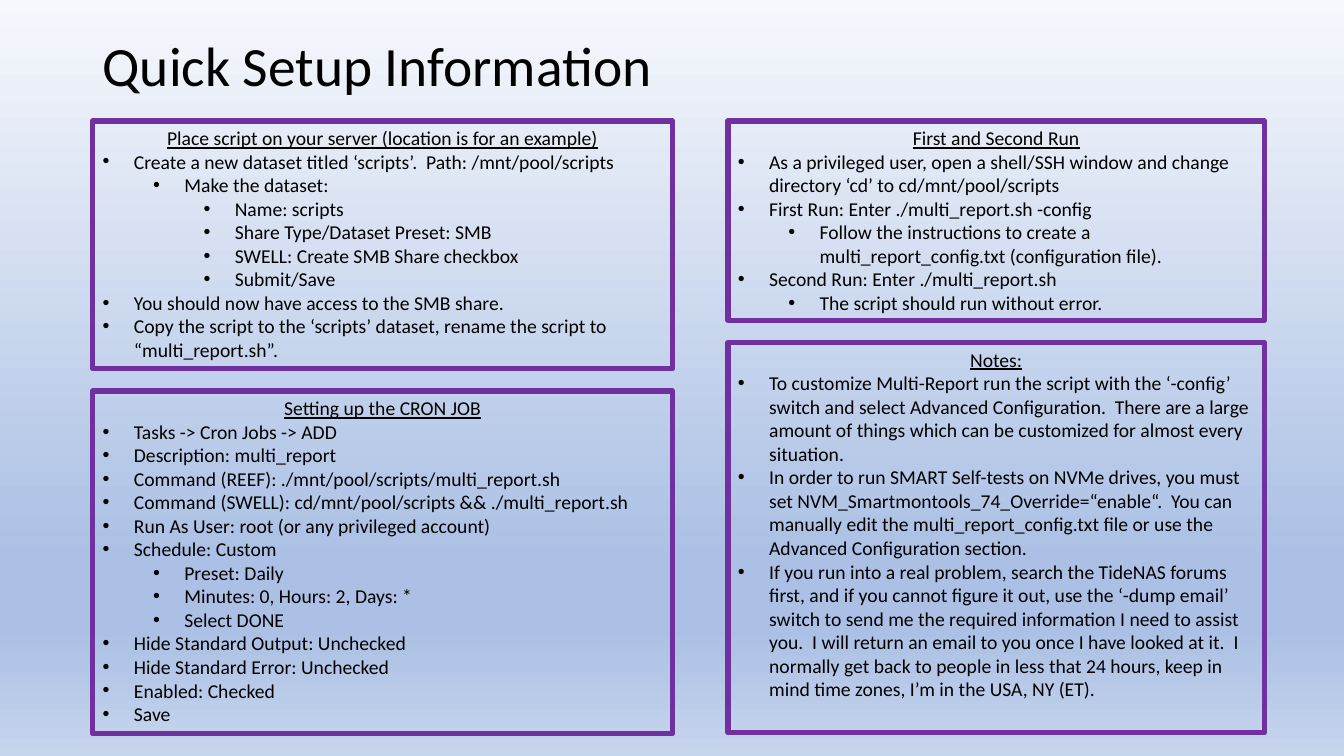
from lxml import etree
from pptx import Presentation
from pptx.dml.color import RGBColor
from pptx.enum.text import MSO_ANCHOR, MSO_AUTO_SIZE, PP_ALIGN
from pptx.oxml.ns import qn
from pptx.util import Inches, Pt

CENTER, LEFT = PP_ALIGN.CENTER, PP_ALIGN.LEFT
TOP, MIDDLE = MSO_ANCHOR.TOP, MSO_ANCHOR.MIDDLE
FIXED = MSO_AUTO_SIZE.NONE

COLORS = {"text": "000000", "border": "7030A0", "pale": "F6F8FC", "blue": "ABC0E4", "light": "C7D5ED"}
BACKGROUND_STOPS = [(0, "pale"), (74, "blue"), (83, "blue"), (100, "light")]
FONT = "Calibri"
MARGIN = 0.92
COLUMN_TOP = 1.2
PANEL_GAP = 0.22
HANGING = 0.31
LEVEL_STEP = 0.5

COLUMNS = [
    (MARGIN, 5.75, [
        (2.46, "Place script on your server (location is for an example)", [
            (0, "Create a new dataset titled ‘scripts’.  Path: /mnt/pool/scripts"),
            (1, "Make the dataset:"),
            (2, "Name: scripts"),
            (2, "Share Type/Dataset Preset: SMB"),
            (2, "SWELL: Create SMB Share checkbox"),
            (2, "Submit/Save"),
            (0, "You should now have access to the SMB share."),
            (0, "Copy the script to the ‘scripts’ dataset, rename the script to “multi_report.sh”."),
        ]),
        (3.4, "Setting up the CRON JOB", [
            (0, "Tasks -> Cron Jobs -> ADD"),
            (0, "Description: multi_report"),
            (0, "Command (REEF): ./mnt/pool/scripts/multi_report.sh"),
            (0, "Command (SWELL): cd/mnt/pool/scripts && ./multi_report.sh"),
            (0, "Run As User: root (or any privileged account)"),
            (0, "Schedule: Custom"),
            (1, "Preset: Daily"),
            (1, "Minutes: 0, Hours: 2, Days: *"),
            (1, "Select DONE"),
            (0, "Hide Standard Output: Unchecked"),
            (0, "Hide Standard Error: Unchecked"),
            (0, "Enabled: Checked"),
            (0, "Save"),
        ]),
    ]),
    (7.22, 5.32, [
        (1.98, "First and Second Run", [
            (0, "As a privileged user, open a shell/SSH window and change directory ‘cd’ to cd/mnt/pool/scripts"),
            (0, "First Run: Enter ./multi_report.sh -config"),
            (1, "Follow the instructions to create a multi_report_config.txt (configuration file)."),
            (0, "Second Run: Enter ./multi_report.sh"),
            (1, "The script should run without error."),
        ]),
        (3.87, "Notes:", [
            (0, "To customize Multi-Report run the script with the ‘-config’ switch and select Advanced "
                "Configuration.  There are a large amount of things which can be customized for almost "
                "every situation."),
            (0, "In order to run SMART Self-tests on NVMe drives, you must set "
                "NVM_Smartmontools_74_Override=“enable“.  You can manually edit the "
                "multi_report_config.txt file or use the Advanced Configuration section."),
            (0, "If you run into a real problem, search the TideNAS forums first, and if you cannot "
                "figure it out, use the ‘-dump email’ switch to send me the required information I need "
                "to assist you.  I will return an email to you once I have looked at it.  I normally get "
                "back to people in less that 24 hours, keep in mind time zones, I’m in the USA, NY (ET)."),
        ]),
    ]),
]


def add_box(left, top, width, height, anchor=TOP):
    box = slide.shapes.add_textbox(Inches(left), Inches(top), Inches(width), Inches(height))
    frame = box.text_frame
    frame.word_wrap = True
    frame.auto_size = FIXED
    frame.vertical_anchor = anchor
    return box


def write(para, text, size=14, underline=False, align=LEFT, level=None, spacing=1.0):
    para.alignment = align
    para.line_spacing = spacing
    span = para.add_run()
    span.text = text
    span.font.name = FONT
    span.font.size = Pt(size)
    span.font.underline = underline
    span.font.color.rgb = RGBColor.from_string(COLORS["text"])
    if level is not None:
        para.level = level
        properties = para._p.get_or_add_pPr()
        properties.set("marL", str(Inches(HANGING + level * LEVEL_STEP)))
        properties.set("indent", str(-Inches(HANGING)))
        etree.SubElement(properties, qn("a:buFont"), typeface="Arial")
        etree.SubElement(properties, qn("a:buChar"), char="•")


deck = Presentation()
deck.slide_width = Inches(13.33)
deck.slide_height = Inches(7.5)
slide = deck.slides.add_slide(deck.slide_layouts[6])

background = slide.background.fill
background.gradient()
background.gradient_angle = 270
stop_list = slide.element.find(".//" + qn("a:gsLst"))
for old_stop in list(stop_list):
    stop_list.remove(old_stop)
for percent, color in BACKGROUND_STOPS:
    stop = etree.SubElement(stop_list, qn("a:gs"), pos=str(percent * 1000))
    etree.SubElement(stop, qn("a:srgbClr"), val=COLORS[color])

title = add_box(MARGIN, 0.4, 11.5, 0.57, anchor=MIDDLE)
write(title.text_frame.paragraphs[0], "Quick Setup Information", size=39.6, spacing=0.9)

for left, width, panels in COLUMNS:
    top = COLUMN_TOP
    for height, heading, items in panels:
        panel = add_box(left, top, width, height)
        panel.line.color.rgb = RGBColor.from_string(COLORS["border"])
        panel.line.width = Pt(3.75)
        write(panel.text_frame.paragraphs[0], heading, underline=True, align=CENTER)
        for level, item in items:
            write(panel.text_frame.add_paragraph(), item, level=level)
        top += height + PANEL_GAP

deck.save("out.pptx")
